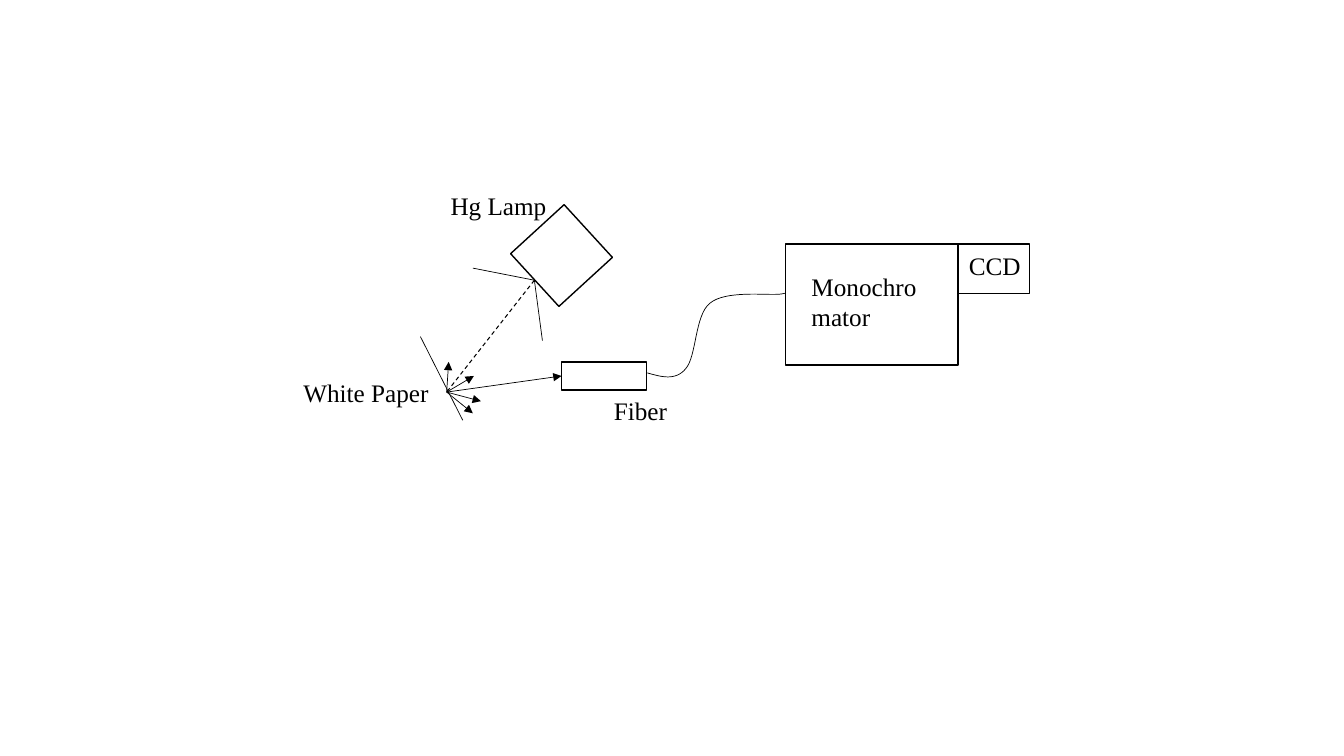
import pptx
import pptx.dml.color
import pptx.enum.dml
import pptx.enum.shapes
import pptx.enum.text
import pptx.oxml.ns
import pptx.util
from lxml import etree

PX = 9144  # 100 px to the inch
BLACK = pptx.dml.color.RGBColor(0x00, 0x00, 0x00)
WHITE = pptx.dml.color.RGBColor(0xFF, 0xFF, 0xFF)
FONT = "Times New Roman"
FONT_SIZE = 18
LABEL_HEIGHT = 40
CURVE_STEPS = 16

# Left, top corner of each region
LAMP = (437, 184)
PAPER = (291, 334)
FIBER = (557, 359)
SPECTROMETER = (779, 242)


def offset(corner, x, y):
    return corner[0] + x, corner[1] + y


def set_line(shape, width):
    shape.line.color.rgb = BLACK
    shape.line.width = pptx.util.Pt(width)


def add_box(slide, corner, width, height, rotation=0):
    box = slide.shapes.add_shape(
        pptx.enum.shapes.MSO_SHAPE.RECTANGLE,
        *[length * PX for length in (*corner, width, height)])
    box.rotation = rotation
    box.shadow.inherit = False
    box.fill.solid()
    box.fill.fore_color.rgb = WHITE
    set_line(box, 1)


def add_label(slide, corner, text, width=139, height=LABEL_HEIGHT):
    label = slide.shapes.add_textbox(
        *[length * PX for length in (*corner, width, height)])
    text_frame = label.text_frame
    text_frame.word_wrap = True
    text_frame.auto_size = pptx.enum.text.MSO_AUTO_SIZE.SHAPE_TO_FIT_TEXT
    text_frame.text = text
    for paragraph in text_frame.paragraphs:
        for run in paragraph.runs:
            run.font.name = FONT
            run.font.size = pptx.util.Pt(FONT_SIZE)
            run.font.color.rgb = BLACK


def add_line(slide, start, end, width=0.5, arrow=False, dashed=False):
    connector = slide.shapes.add_connector(
        pptx.enum.shapes.MSO_CONNECTOR.STRAIGHT,
        *[length * PX for length in (*start, *end)])
    set_line(connector, width)
    if dashed:
        connector.line.dash_style = pptx.enum.dml.MSO_LINE.DASH
    properties = connector.element.spPr
    qualified = pptx.oxml.ns.qn
    if arrow:
        outline = properties.find(qualified("a:ln"))
        etree.SubElement(outline, qualified("a:tailEnd"), type="triangle")
    etree.SubElement(properties, qualified("a:effectLst"))


def curve_points(start, curves):
    """Sample a chain of cubic Bezier curves in EMU."""
    points = [(start[0] * PX, start[1] * PX)]
    for first, second, end in curves:
        for step in range(1, CURVE_STEPS + 1):
            t = step / CURVE_STEPS
            weights = ((1 - t) ** 3, 3 * t * (1 - t) ** 2,
                       3 * t ** 2 * (1 - t), t ** 3)
            controls = (start, first, second, end)
            points.append(tuple(
                round(PX * sum(w * p[axis] for w, p in zip(weights, controls)))
                for axis in (0, 1)))
        start = end
    return points


def add_lamp(slide, corner):
    """Draw the lamp with its light cone and return its opening."""
    add_box(slide, offset(corner, 84, 34), 72, 71, rotation=317.5)
    add_label(slide, corner, "Hg Lamp")
    opening = offset(corner, 93, 94)
    for cone_end in ((101, 154), (32, 82)):
        add_line(slide, opening, offset(corner, *cone_end))
    return opening


def add_paper(slide, corner):
    """Draw the paper with its scattered rays and return the lit spot."""
    add_line(slide, offset(corner, 126, 0), offset(corner, 168, 83))
    add_label(slide, offset(corner, 0, 35), "White Paper", width=152)
    spot = offset(corner, 152, 55)
    for ray in ((26, 21), (34, 9), (27, -16), (2, -30)):
        add_line(slide, spot, offset(spot, *ray), arrow=True)
    return spot


def add_fiber(slide, corner):
    """Draw the fiber head and the cable to the monochromator."""
    add_box(slide, corner, 84, 28)
    add_label(slide, offset(corner, 42, 28), "Fiber")
    curves = (
        ((99, 15), (113, 19), (123, 7)),
        ((134, -5), (132, -46), (147, -58)),
        ((162, -71), (203, -66), (214, -67)),
        ((218, -67), (221, -68), (222, -68)),
    )
    points = curve_points(
        offset(corner, 85, 11),
        [[offset(corner, *point) for point in curve] for curve in curves])
    builder = slide.shapes.build_freeform(*points[0])
    builder.add_line_segments(points[1:], close=False)
    cable = builder.convert_to_shape()
    cable.shadow.inherit = False
    cable.fill.background()
    set_line(cable, 0.5)
    return offset(corner, 0, 14)


def add_spectrometer(slide, corner):
    add_box(slide, corner, 171, 120)
    add_box(slide, offset(corner, 171, 0), 71, 49)
    add_label(slide, offset(corner, 172, 1), "CCD")
    add_label(slide, offset(corner, 16, 22), "Monochro\nmator", height=71)


def main():
    presentation = pptx.Presentation()
    presentation.slide_width = 1333 * PX
    presentation.slide_height = 750 * PX
    slide = presentation.slides.add_slide(presentation.slide_layouts[6])

    # Apparatus
    opening = add_lamp(slide, LAMP)
    spot = add_paper(slide, PAPER)
    fiber_entry = add_fiber(slide, FIBER)
    add_spectrometer(slide, SPECTROMETER)

    # Light from lamp to paper to fiber
    add_line(slide, opening, spot, width=0.75, dashed=True)
    add_line(slide, spot, fiber_entry, arrow=True)

    presentation.save("out.pptx")


if __name__ == "__main__":
    main()
